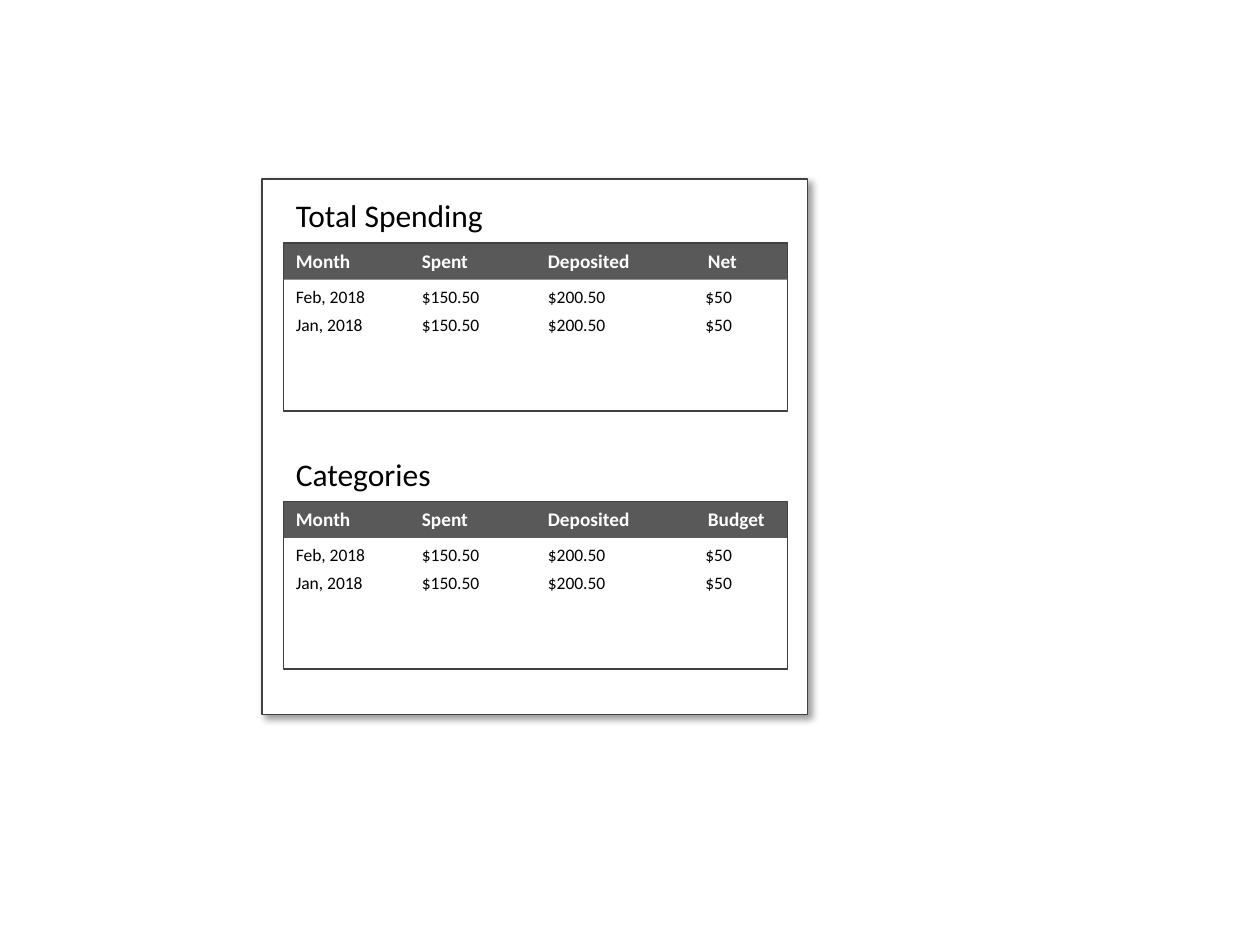
from lxml import etree
from pptx import Presentation
from pptx.dml.color import RGBColor
from pptx.enum import shapes, text
from pptx.oxml import ns
from pptx.util import Inches, Pt

COLORS = {"paper": "FFFFFF", "border": "404040", "header": "595959", "ink": "000000"}
LEFT, WIDTH = 2.25, 4
ROWS = [
    ["Feb, 2018", "$150.50", "$200.50", "$50"],
    ["Jan, 2018", "$150.50", "$200.50", "$50"],
]
SECTIONS = [("Total Spending", "Net", 1.93), ("Categories", "Budget", 3.98)]


def add_box(left, top, width, height, fill=None, line=None):
    shape = slide.shapes.add_shape(
        shapes.MSO_SHAPE.RECTANGLE, Inches(left), Inches(top), Inches(width), Inches(height))
    shape.shadow.inherit = False
    if fill:
        shape.fill.solid()
        shape.fill.fore_color.rgb = RGBColor.from_string(COLORS[fill])
    else:
        shape.fill.background()
    if line:
        shape.line.color.rgb = RGBColor.from_string(COLORS[line])
        shape.line.width = Pt(1)
    else:
        shape.line.fill.background()
    return shape


def write_row(shape, cells, size, color="ink", bold=False, last_stop=3.25):
    frame = shape.text_frame
    frame.word_wrap = True
    frame.vertical_anchor = text.MSO_ANCHOR.TOP
    frame.text = "\t".join(cells)
    paragraph = frame.paragraphs[0]
    paragraph.alignment = text.PP_ALIGN.LEFT
    if len(cells) > 1:
        tab_list = etree.SubElement(paragraph._p.get_or_add_pPr(), ns.qn("a:tabLst"))
        for stop in (1, 2, last_stop):
            etree.SubElement(tab_list, ns.qn("a:tab"), pos=str(Inches(stop)), algn="l")
    for run in paragraph.runs:
        run.font.name = "Calibri"
        run.font.size = Pt(size)
        run.font.bold = bold
        run.font.color.rgb = RGBColor.from_string(COLORS[color])


presentation = Presentation()
presentation.slide_width = Inches(10)
presentation.slide_height = Inches(7.5)
slide = presentation.slides.add_slide(presentation.slide_layouts[6])

panel = add_box(2.08, 1.42, 4.33, 4.25, "paper", "border")
effects = panel._element.spPr.find(ns.qn("a:effectLst"))
shadow = etree.SubElement(
    effects, ns.qn("a:outerShdw"), blurRad=str(Pt(4)), dist=str(Pt(3)),
    dir=str(45 * 60000), algn="tl", rotWithShape="0")
shadow_color = etree.SubElement(shadow, ns.qn("a:srgbClr"), val=COLORS["ink"])
etree.SubElement(shadow_color, ns.qn("a:alpha"), val="40000")

for title, last_heading, top in SECTIONS:
    header = add_box(LEFT, top, WIDTH, 0.29, "header")
    write_row(header, ["Month", "Spent", "Deposited", last_heading], 11, "paper", True, 3.27)
    add_box(LEFT, top, WIDTH, 1.33, line="border")
    for index, cells in enumerate(ROWS):
        row = slide.shapes.add_textbox(
            Inches(LEFT), Inches(top + 0.29 + index * 0.22), Inches(WIDTH), Inches(0.27))
        write_row(row, cells, 10)
    heading = slide.shapes.add_textbox(
        Inches(LEFT), Inches(top - 0.42), Inches(WIDTH), Inches(0.42))
    write_row(heading, [title], 18)

presentation.save("out.pptx")
